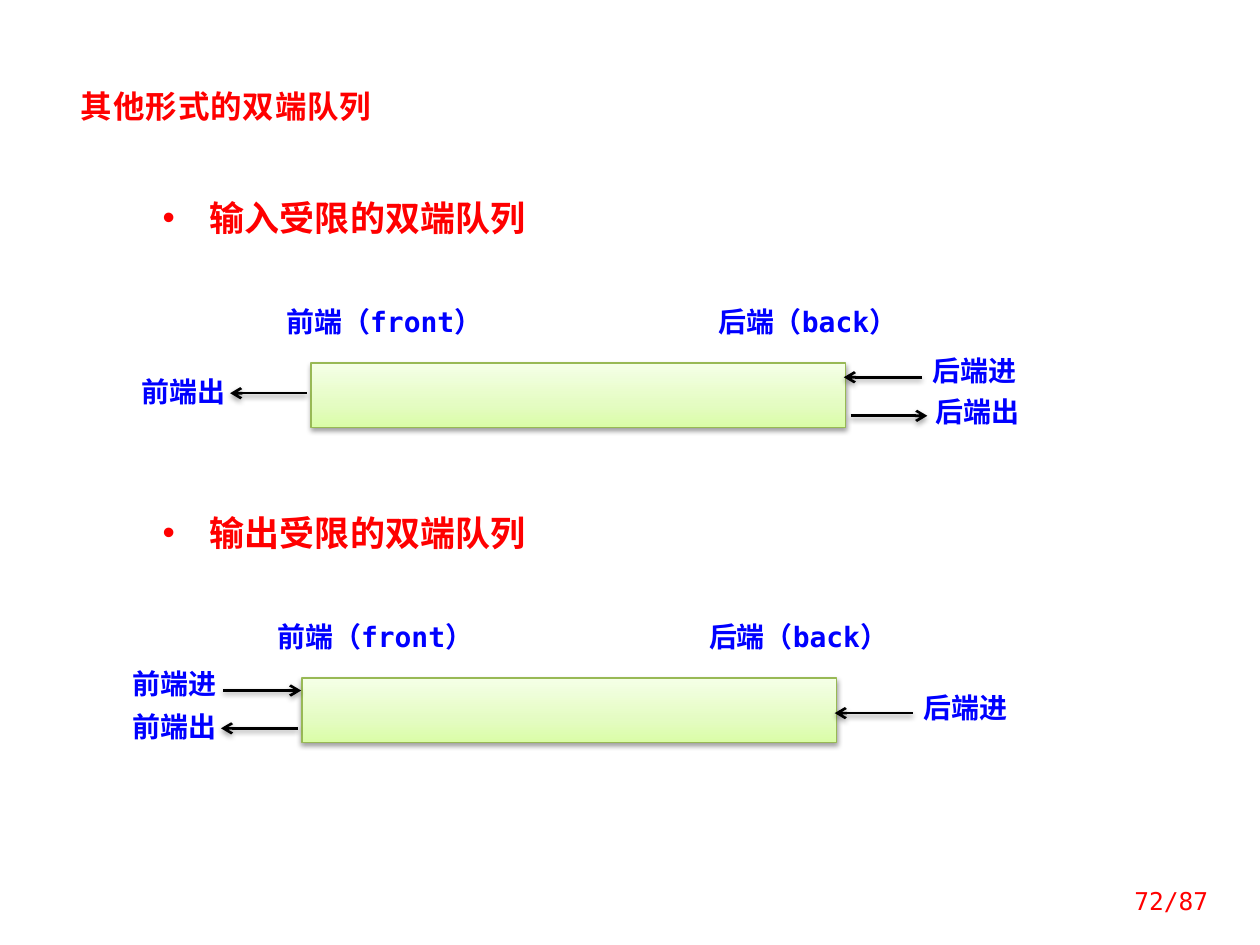
from lxml import etree
from pptx import Presentation
from pptx.dml.color import RGBColor
from pptx.enum.shapes import MSO_CONNECTOR, MSO_SHAPE
from pptx.enum.text import MSO_ANCHOR, MSO_AUTO_SIZE, PP_ALIGN
from pptx.oxml.ns import qn
from pptx.util import Pt

STRAIGHT = MSO_CONNECTOR.STRAIGHT
RECTANGLE = MSO_SHAPE.RECTANGLE
TOP, MIDDLE = MSO_ANCHOR.TOP, MSO_ANCHOR.MIDDLE
GROW = MSO_AUTO_SIZE.SHAPE_TO_FIT_TEXT
LEFT, CENTER, RIGHT = PP_ALIGN.LEFT, PP_ALIGN.CENTER, PP_ALIGN.RIGHT

RED = RGBColor(0xFF, 0x00, 0x00)
BLUE = RGBColor(0x00, 0x00, 0xFF)
BLACK = RGBColor(0x00, 0x00, 0x00)
WHITE = RGBColor(0xFF, 0xFF, 0xFF)
GREEN_LINE = RGBColor(0x98, 0xB9, 0x55)
GREEN_STOPS = (
    (0, RGBColor(0xDA, 0xFD, 0xA7)),
    (35, RGBColor(0xE4, 0xFC, 0xC2)),
    (100, RGBColor(0xF5, 0xFF, 0xE7)),
)

FONT = "DejaVu Sans Mono"
QUEUE_WIDTH, QUEUE_HEIGHT = 305.3, 36.7
LABEL_WIDTH, LABEL_HEIGHT = 53.3, 21.6
RIGHT_SIDE = 3

# Operation: label left, arrow start and arrow end, measured from the queue's left edge
OPERATIONS = {
    "前端进": (-99.6, -45, -0.5),
    "前端出": (-99.6, -2.5, -46.3),
    "后端进": (352.6, 349, 304.4),
    "后端出": (354.2, 308.2, 352.1),
}

# Heading, heading top, queue left and top, then label and arrow heights from the queue's top
QUEUES = (
    ("输入受限的双端队列", 106.6, 177.8, 207.4,
     (("前端出", 6.5, 17.3), ("后端进", -5.1, 8.2), ("后端出", 18, 30.2))),
    ("输出受限的双端队列", 286.6, 172.6, 387.4,
     (("前端进", -6.5, 7.2), ("前端出", 18, 28.8), ("后端进", 7.2, 20.1))),
)


def add_element(parent, tag, **attributes):
    values = {name: str(value) for name, value in attributes.items()}
    return etree.SubElement(parent, qn(tag), values)


def add_shadow(shape):
    properties = shape._element.spPr
    effects = properties.find(qn("a:effectLst"))
    if effects is None:
        effects = add_element(properties, "a:effectLst")
    shadow = add_element(effects, "a:outerShdw", blurRad=Pt(3.1), dist=Pt(1.6),
                         dir=5400000, rotWithShape=0)
    color = add_element(shadow, "a:srgbClr", val=BLACK)
    add_element(color, "a:alpha", val=38000)


def set_text(shape, text, size=16, color=BLUE, bold=True, align=CENTER, anchor=TOP,
             insets=(7.2, 3.6, 7.2, 3.6), line_spacing=None, spacing=None,
             bullet_indent=None, auto_size=None):
    frame = shape.text_frame
    frame.word_wrap = True
    frame.vertical_anchor = anchor
    if auto_size is not None:
        frame.auto_size = auto_size
    (frame.margin_left, frame.margin_top,
     frame.margin_right, frame.margin_bottom) = map(Pt, insets)
    paragraph = frame.paragraphs[0]
    paragraph.alignment = align
    if line_spacing:
        paragraph.line_spacing = Pt(line_spacing)
    if bullet_indent:
        properties = paragraph._p.get_or_add_pPr()
        properties.set("marL", str(Pt(bullet_indent)))
        properties.set("indent", str(-Pt(bullet_indent)))
        add_element(properties, "a:buFont", typeface="Arial")
        add_element(properties, "a:buChar", char="•")
    run = paragraph.add_run()
    run.text = text
    font = run.font
    font.name, font.size, font.bold = FONT, Pt(size), bold
    font.color.rgb = color
    run_properties = run._r.get_or_add_rPr()
    add_element(run_properties, "a:ea", typeface=FONT)
    if spacing:
        run_properties.set("spc", str(round(spacing * 100)))


def add_text(shapes, text, left, top, width, height, fill=None, **text_format):
    box = shapes.add_textbox(Pt(left), Pt(top), Pt(width), Pt(height))
    if fill is not None:
        box.fill.solid()
        box.fill.fore_color.rgb = fill
    set_text(box, text, **text_format)
    return box


def add_label(shapes, text, left, top, width=LABEL_WIDTH, height=LABEL_HEIGHT):
    return add_text(shapes, text, left, top, width, height, fill=WHITE, insets=(0, 0, 0, 0))


def add_queue_bar(shapes, left, top):
    bar = shapes.add_shape(RECTANGLE, Pt(left), Pt(top), Pt(QUEUE_WIDTH), Pt(QUEUE_HEIGHT))
    bar.shadow.inherit = False
    bar.fill.gradient()
    bar.fill.gradient_angle = 90
    stops = bar._element.spPr.find(".//" + qn("a:gsLst"))
    for stop in list(stops):
        stops.remove(stop)
    for position, color in GREEN_STOPS:
        stop = add_element(stops, "a:gs", pos=position * 1000)
        add_element(stop, "a:srgbClr", val=color)
    bar.line.color.rgb = GREEN_LINE
    bar.line.width = Pt(0.75)
    add_shadow(bar)


def add_arrow(shapes, start, end, top):
    arrow = shapes.add_connector(STRAIGHT, Pt(start), Pt(top), Pt(end), Pt(top))
    arrow.line.color.rgb = BLACK
    arrow.line.width = Pt(1.5)
    add_element(arrow.line._get_or_add_ln(), "a:tailEnd", type="arrow")
    add_shadow(arrow)
    return arrow


def add_queue(slide, left, top, operations):
    """Draw a queue with its end names and the operations allowed at each end."""
    shapes = slide.shapes.add_group_shape().shapes
    add_label(shapes, "前端（front）", left - 22.3, top - 33.1, 128.2, 26.6)
    add_label(shapes, "后端（back）", left + 218.2, top - 33.1, 131, 26.6)
    add_queue_bar(shapes, left, top)
    for name, label_top, arrow_top in operations:
        label_left, start, end = OPERATIONS[name]
        label = add_label(shapes, name, left + label_left, top + label_top)
        arrow = add_arrow(shapes, left + start, left + end, top + arrow_top)
        if name == "前端出":
            arrow.end_connect(label, RIGHT_SIDE)


def add_title(slide, text):
    title = slide.shapes.title
    title.left, title.top, title.width, title.height = map(Pt, (16.6, 39.6, 225.4, 33.1))
    set_text(title, text, size=18, color=RED, line_spacing=28, spacing=0.5, auto_size=GROW)


def main():
    presentation = Presentation()
    presentation.slide_width, presentation.slide_height = Pt(720), Pt(540)
    slide = presentation.slides.add_slide(presentation.slide_layouts[5])
    add_title(slide, "其他形式的双端队列")
    for heading, heading_top, left, top, operations in QUEUES:
        add_text(slide.shapes, heading, 78.5, heading_top, 253.4, 36, fill=WHITE, size=20,
                 color=RED, align=LEFT, insets=(14.4, 5.8, 7.2, 5.8),
                 bullet_indent=27, auto_size=GROW)
        add_queue(slide, left, top, operations)
    add_text(slide.shapes, "72/87", 624.2, 500.4, 73.4, 28.8, size=14, color=RED,
             bold=False, align=RIGHT, anchor=MIDDLE)
    presentation.save("out.pptx")


if __name__ == "__main__":
    main()
